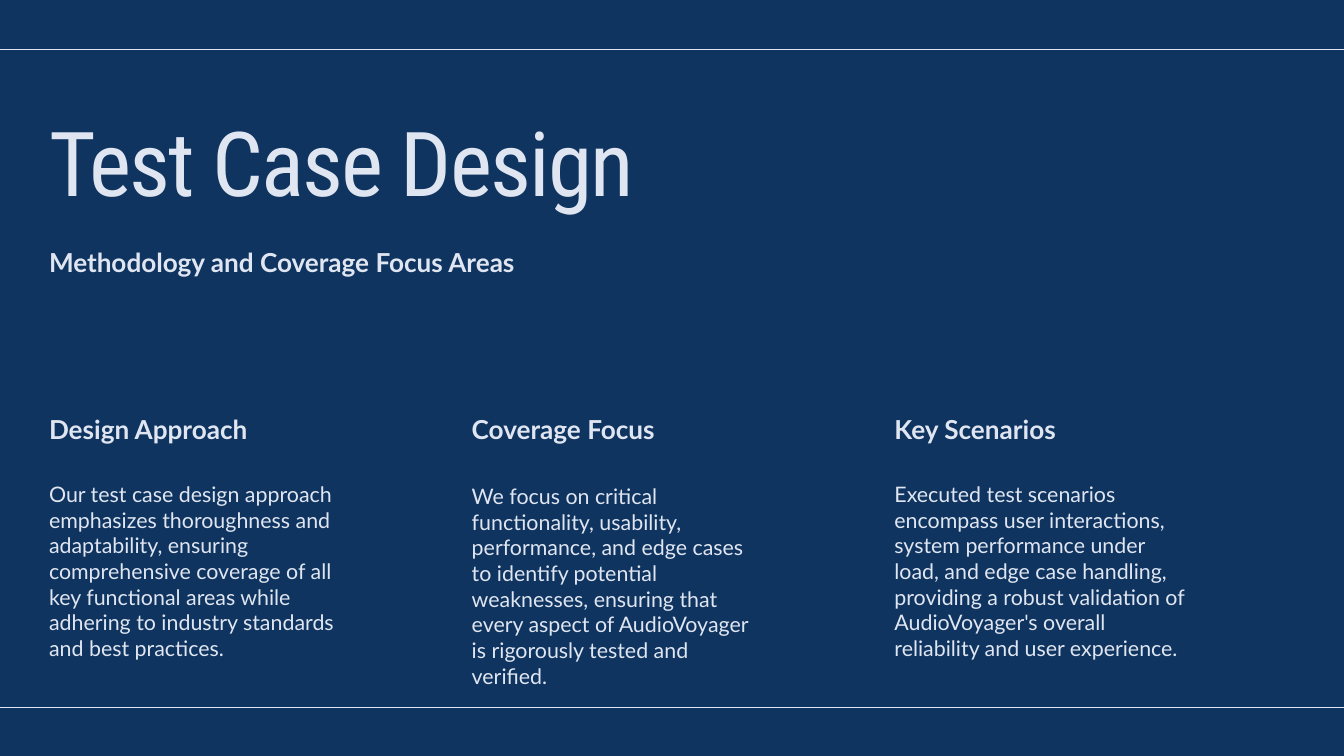
"""Build the Test Case Design slide with a heading and three text columns."""
import pptx
import pptx.dml.color
import pptx.enum.shapes
import pptx.enum.text
import pptx.oxml.ns
import pptx.util
import lxml.etree

Inches = pptx.util.Inches
Pt = pptx.util.Pt
NAVY = pptx.dml.color.RGBColor(0x0F, 0x34, 0x60)
PALE = pptx.dml.color.RGBColor(0xE0, 0xE6, 0xF1)

MARGIN = 0.73
COLUMN_STEP = 6.29
COLUMN_WIDTH = 4.39
HEADING_WIDTH = 18.54

prs = pptx.Presentation()
prs.slide_width = Inches(20)
prs.slide_height = Inches(11.25)
s = prs.slides.add_slide(prs.slide_layouts[6])
s.background.fill.solid()
s.background.fill.fore_color.rgb = NAVY


def add_text(text, left, top, width, height, size, leading, font="Lato", bold=False):
    sp = s.shapes.add_textbox(Inches(left), Inches(top), Inches(width), Inches(height))
    tf = sp.text_frame
    tf.word_wrap = True
    tf.auto_size = pptx.enum.text.MSO_AUTO_SIZE.SHAPE_TO_FIT_TEXT
    tf.margin_left = tf.margin_top = tf.margin_right = tf.margin_bottom = 0
    p = tf.paragraphs[0]
    p.line_spacing = Pt(leading)
    r = p.add_run()
    r.text = text
    r.font.name = font
    r.font.size = Pt(size)
    r.font.bold = bold
    r.font.color.rgb = PALE
    return r


columns = [
    ("Design Approach", 7.16,
     "Our test case design approach emphasizes thoroughness and adaptability, "
     "ensuring comprehensive coverage of all key functional areas while adhering "
     "to industry standards and best practices."),
    ("Coverage Focus", 7.19,
     "We focus on critical functionality, usability, performance, and edge cases "
     "to identify potential weaknesses, ensuring that every aspect of AudioVoyager "
     "is rigorously tested and verified."),
    ("Key Scenarios", 7.16,
     "Executed test scenarios encompass user interactions, system performance "
     "under load, and edge case handling, providing a robust validation of "
     "AudioVoyager's overall reliability and user experience."),
]
for i, (heading, body_top, body) in enumerate(columns):
    left = MARGIN + i * COLUMN_STEP
    add_text(heading, left, 6.15, COLUMN_WIDTH, 0.46, 28, 33.6, bold=True)
    add_text(body, left, body_top, COLUMN_WIDTH, 2.63, 22.9, 27.5)

title = add_text("Test Case Design", MARGIN, 1.86, HEADING_WIDTH, 1.45, 96, 96,
                 font="Roboto Condensed")
title._r.get_or_add_rPr().set("spc", "-190")
add_text("Methodology and Coverage Focus Areas", MARGIN, 3.67, HEADING_WIDTH, 0.46,
         28, 33.6, bold=True)

for y in (0.74, 10.53):
    rule = s.shapes.add_connector(pptx.enum.shapes.MSO_CONNECTOR.STRAIGHT,
                                  0, Inches(y), prs.slide_width, Inches(y))
    rule.line.color.rgb = PALE
    rule.line.width = Pt(1.5)
    lxml.etree.SubElement(rule._element.spPr, pptx.oxml.ns.qn("a:effectLst"))

prs.save("out.pptx")
